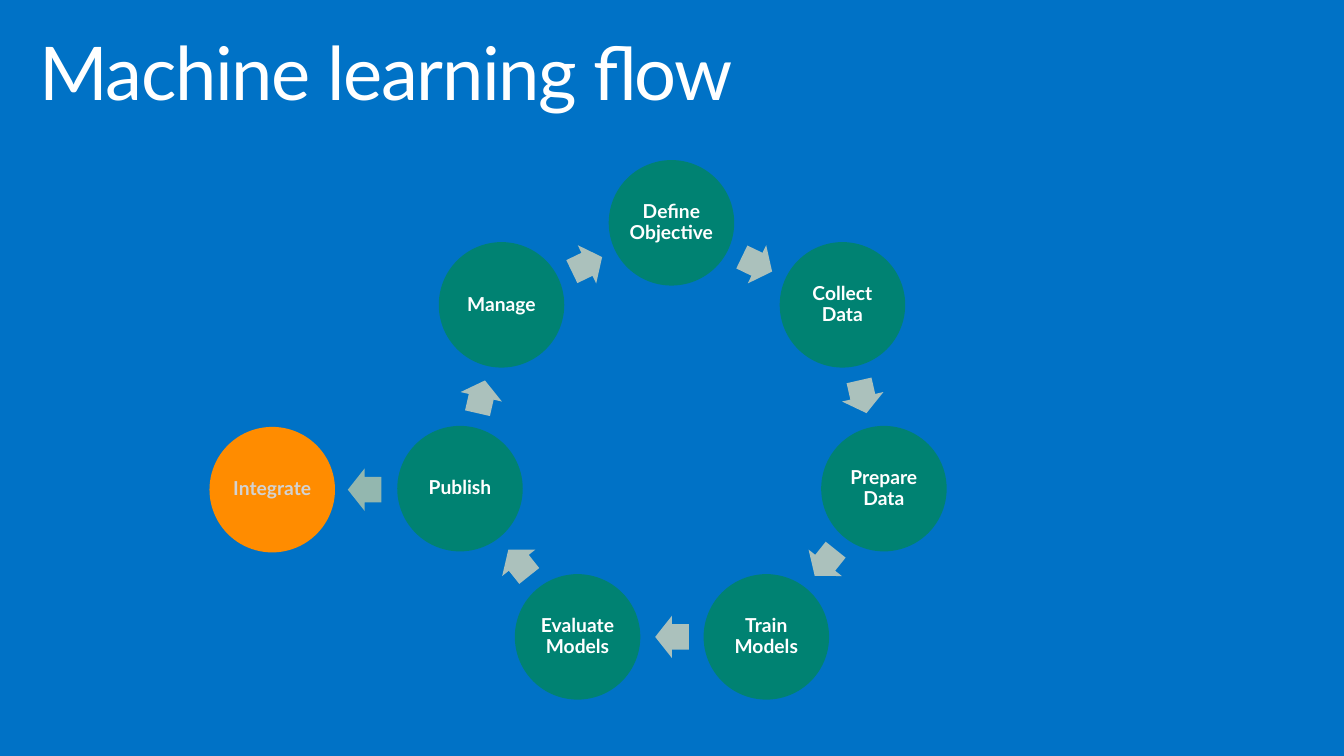
import math

import pptx
import pptx.dml.color
import pptx.enum.shapes
import pptx.enum.text
import pptx.util

EMU_PER_PX = 9144
STEPS = ["Define Objective", "Collect Data", "Prepare Data", "Train Models",
         "Evaluate Models", "Publish", "Manage"]
RING_CENTER = (680, 446)
RING_RADIUS = 220
CIRCLE_SIZE = 127
ARROW_SIZE = (34, 43)


def px(length):
    return pptx.util.Emu(round(length) * EMU_PER_PX)


def color(hex_string):
    return pptx.dml.color.RGBColor.from_string(hex_string)


class FlowSlide:
    font_name = "Lato"
    background = "0072C6"
    white = "FFFFFF"

    def __init__(self, presentation):
        self.slide = presentation.slides.add_slide(presentation.slide_layouts[5])
        fill = self.slide.background.fill
        fill.solid()
        fill.fore_color.rgb = color(self.background)

    def set_text(self, text_frame, text, size, text_color, bold, alignment):
        text_frame.word_wrap = True
        text_frame.auto_size = pptx.enum.text.MSO_AUTO_SIZE.NONE
        text_frame.text = text
        paragraph = text_frame.paragraphs[0]
        paragraph.alignment = alignment
        paragraph.line_spacing = 0.9
        run = paragraph.runs[0]
        run.font.name = self.font_name
        run.font.size = pptx.util.Pt(size)
        run.font.bold = bold
        run.font.color.rgb = color(text_color)
        return run

    def title(self, text, left, top, width, height):
        shape = self.slide.shapes.title
        shape.left, shape.top = px(left), px(top)
        shape.width, shape.height = px(width), px(height)
        shape.text_frame.vertical_anchor = pptx.enum.text.MSO_ANCHOR.TOP
        run = self.set_text(shape.text_frame, text, 54, self.white, False,
                            pptx.enum.text.PP_ALIGN.LEFT)
        run._r.get_or_add_rPr().set("spc", "-100")

    def centered_shape(self, kind, center, size, fill_color):
        (x, y), (width, height) = center, size
        shape = self.slide.shapes.add_shape(
            kind, px(x - width / 2), px(y - height / 2), px(width), px(height))
        shape.shadow.inherit = False
        shape.fill.solid()
        shape.fill.fore_color.rgb = color(fill_color)
        shape.line.fill.background()
        return shape

    def circle(self, text, center, fill_color="008272", text_color=white):
        shape = self.centered_shape(pptx.enum.shapes.MSO_SHAPE.OVAL, center,
                                    (CIRCLE_SIZE, CIRCLE_SIZE), fill_color)
        text_frame = shape.text_frame
        text_frame.margin_left = text_frame.margin_right = px(2)
        text_frame.margin_top = text_frame.margin_bottom = px(2)
        text_frame.vertical_anchor = pptx.enum.text.MSO_ANCHOR.MIDDLE
        self.set_text(text_frame, text, 14, text_color, True,
                      pptx.enum.text.PP_ALIGN.CENTER)

    def arrow(self, center, rotation, fill_color="ABC1BC"):
        shape = self.centered_shape(pptx.enum.shapes.MSO_SHAPE.RIGHT_ARROW,
                                    center, ARROW_SIZE, fill_color)
        shape.adjustments[0] = 0.6
        shape.adjustments[1] = 0.5
        shape.rotation = rotation


def ring_point(index):
    angle = 2 * math.pi * index / len(STEPS)
    return (RING_CENTER[0] + RING_RADIUS * math.sin(angle),
            RING_CENTER[1] - RING_RADIUS * math.cos(angle))


def main():
    presentation = pptx.Presentation()
    presentation.slide_width = px(1360)
    presentation.slide_height = px(765)

    flow = FlowSlide(presentation)
    flow.title("Machine learning flow", 30, 32, 1300, 100)

    for index, step in enumerate(STEPS):
        start, end = ring_point(index), ring_point(index + 1)
        middle = ((start[0] + end[0]) / 2, (start[1] + end[1]) / 2)
        flow.circle(step, start)
        flow.arrow(middle, 360 * (index + 0.5) / len(STEPS))

    flow.arrow((369, 496), 180, "93B7AF")
    flow.circle("Integrate", (276, 496), "FF8C00", "D2D2D2")

    presentation.save("out.pptx")


if __name__ == "__main__":
    main()
